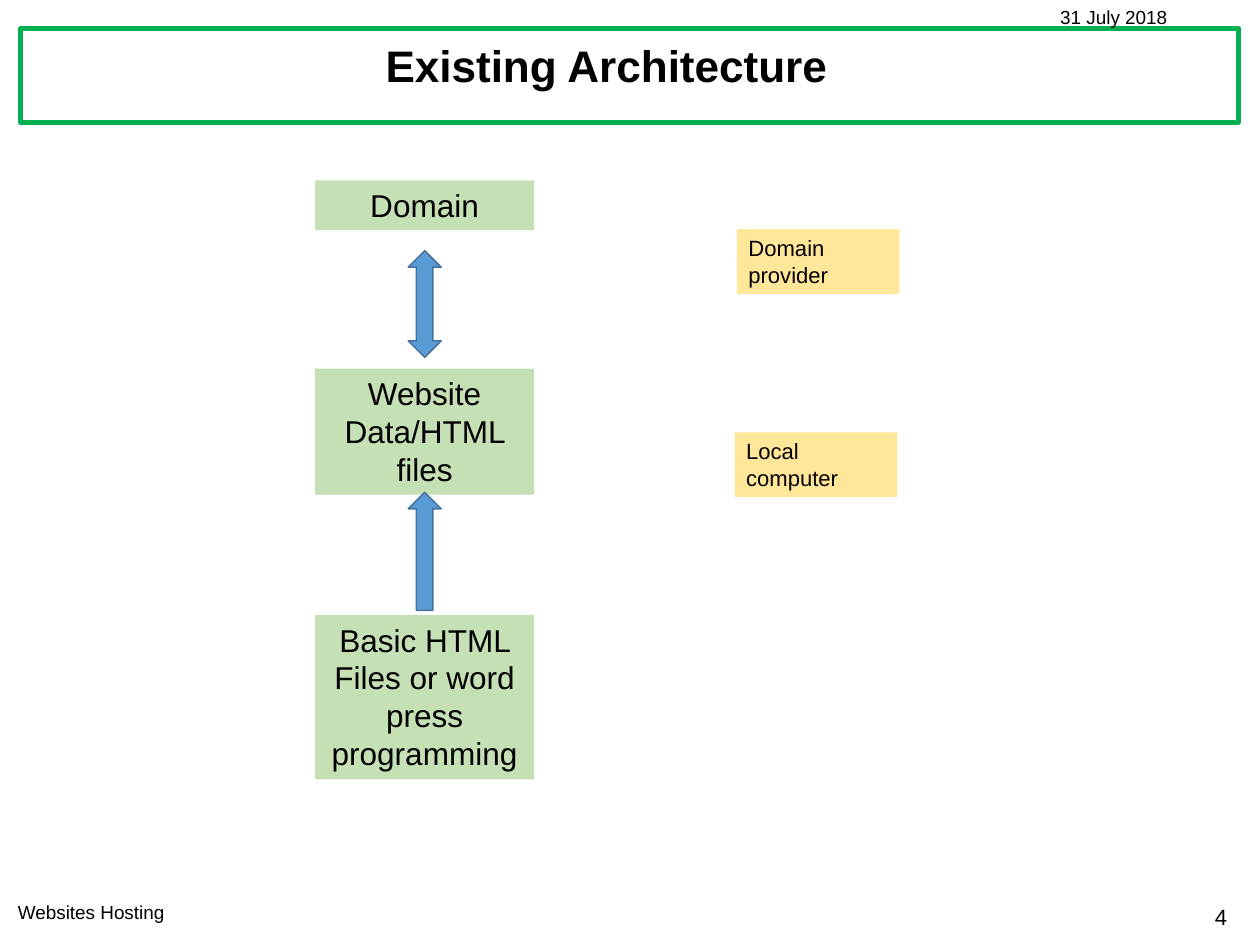
from pptx import Presentation
from pptx.dml.color import RGBColor
from pptx.enum.shapes import MSO_SHAPE
from pptx.enum.text import MSO_ANCHOR, MSO_AUTO_SIZE, PP_ALIGN
from pptx.util import Inches, Pt

BLACK = RGBColor(0x00, 0x00, 0x00)
FRAME_GREEN = RGBColor(0x00, 0xB0, 0x50)
STEP_GREEN = RGBColor(0xC5, 0xE0, 0xB4)
HOST_YELLOW = RGBColor(0xFF, 0xE6, 0x99)
ARROW_BLUE = RGBColor(0x5B, 0x9B, 0xD5)
ARROW_EDGE = RGBColor(0x43, 0x73, 0x9E)

deck = Presentation()
deck.slide_width = Inches(11.11)
deck.slide_height = Inches(8.33)
COL = deck.slide_width / 100
ROW = deck.slide_height / 100
slide = deck.slides.add_slide(deck.slide_layouts[5])


def place(col, row, cols, rows):
    return round(col * COL), round(row * ROW), round(cols * COL), round(rows * ROW)


def write(holder, text, size=20, bold=False, align=PP_ALIGN.LEFT,
          anchor=MSO_ANCHOR.TOP, spacing=1.0):
    frame = holder.text_frame
    frame.word_wrap = True
    frame.auto_size = MSO_AUTO_SIZE.NONE
    frame.vertical_anchor = anchor
    frame.text = text
    paragraph = frame.paragraphs[0]
    paragraph.alignment = align
    paragraph.line_spacing = spacing
    font = paragraph.runs[0].font
    font.name = "Arial"
    font.size = Pt(size)
    font.bold = bold
    font.color.rgb = BLACK


heading = slide.shapes.title
heading.left, heading.top, heading.width, heading.height = place(0, 3.72, 96.22, 7.08)
write(heading, "Existing Architecture", size=28, bold=True,
      align=PP_ALIGN.CENTER, anchor=MSO_ANCHOR.MIDDLE, spacing=0.9)

heading_frame = slide.shapes.add_shape(MSO_SHAPE.RECTANGLE, *place(1.62, 3, 96.67, 9.96))
heading_frame.shadow.inherit = False
heading_frame.fill.background()
heading_frame.line.color.rgb = FRAME_GREEN
heading_frame.line.width = Pt(2.75)

for text, area, size, align in [
    ("4", (84.61, 94.96, 13.68, 4.08), 14, PP_ALIGN.RIGHT),
    ("Websites Hosting", (0.54, 94.72, 38.52, 3.6), 12, PP_ALIGN.LEFT),
    ("31 July 2018", (83.26, 0, 15.12, 3.6), 12, PP_ALIGN.LEFT),
]:
    write(slide.shapes.add_textbox(*place(*area)), text, size=size, align=align)

STEP_COL, STEP_COLS = 25.02, 17.37
HOST_COLS, HOST_ROWS = 12.87, 6.84
for text, area, color, size, align in [
    ("Domain", (STEP_COL, 19.09, STEP_COLS, 5.28), STEP_GREEN, 20, PP_ALIGN.CENTER),
    ("Website Data/HTML files", (STEP_COL, 39.02, STEP_COLS, 13.33),
     STEP_GREEN, 20, PP_ALIGN.CENTER),
    ("Basic HTML Files or word press programming", (STEP_COL, 65.07, STEP_COLS, 17.41),
     STEP_GREEN, 20, PP_ALIGN.CENTER),
    ("Domain provider", (58.51, 24.25, HOST_COLS, HOST_ROWS),
     HOST_YELLOW, 14, PP_ALIGN.LEFT),
    ("Local computer", (58.33, 45.74, HOST_COLS, HOST_ROWS),
     HOST_YELLOW, 14, PP_ALIGN.LEFT),
]:
    box = slide.shapes.add_shape(MSO_SHAPE.RECTANGLE, *place(*area))
    box.shadow.inherit = False
    box.fill.solid()
    box.fill.fore_color.rgb = color
    box.line.fill.background()
    write(box, text, size=size, align=align)

ARROW_COLS = 2.61
ARROW_COL = STEP_COL + (STEP_COLS - ARROW_COLS) / 2
for kind, row, rows in [
    (MSO_SHAPE.UP_DOWN_ARROW, 26.53, 11.28),
    (MSO_SHAPE.UP_ARROW, 52.1, 12.48),
]:
    arrow = slide.shapes.add_shape(kind, *place(ARROW_COL, row, ARROW_COLS, rows))
    arrow.shadow.inherit = False
    arrow.fill.solid()
    arrow.fill.fore_color.rgb = ARROW_BLUE
    arrow.line.color.rgb = ARROW_EDGE
    arrow.line.width = Pt(1)

deck.save("out.pptx")
